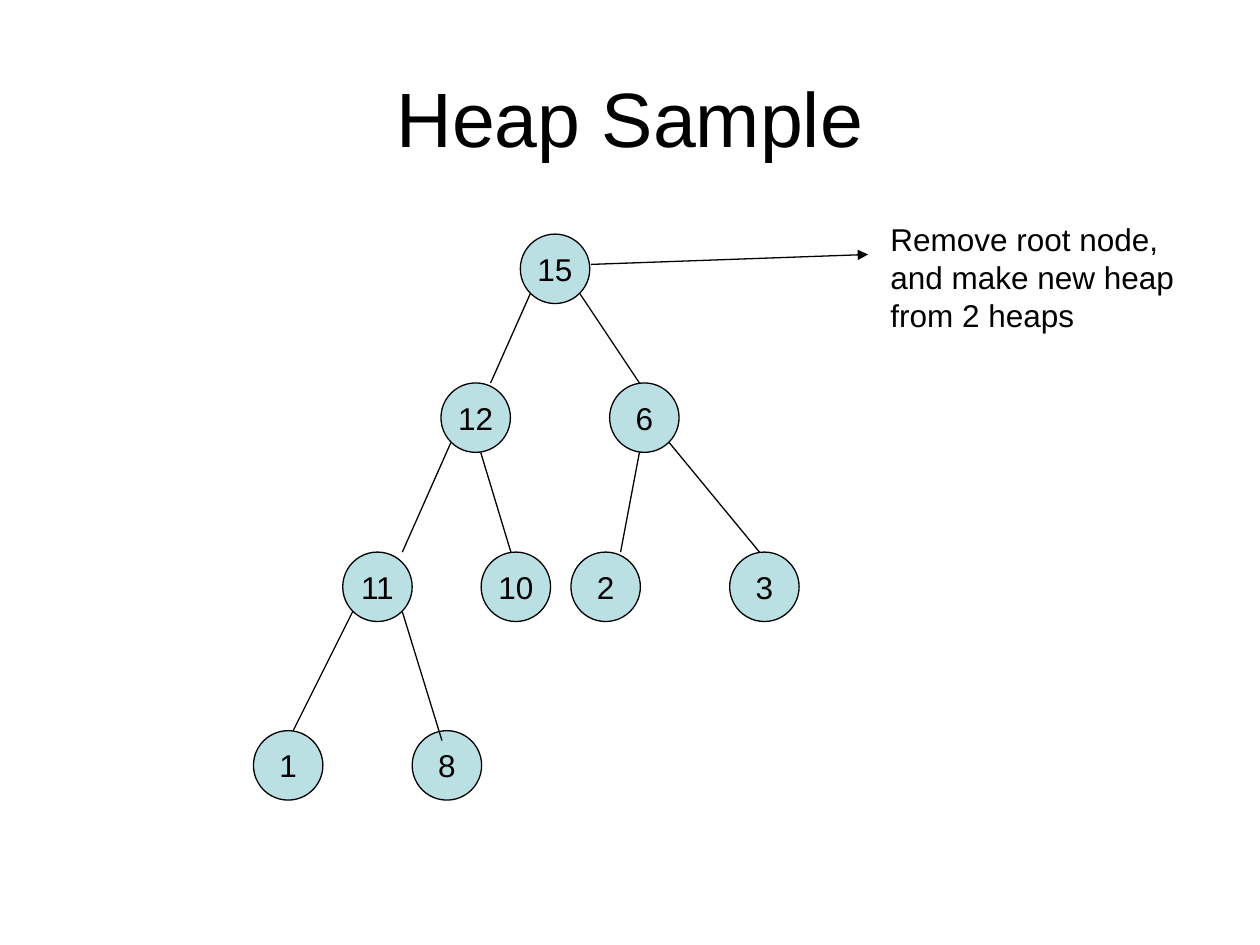
from dataclasses import dataclass

from lxml.etree import SubElement
from pptx import Presentation
from pptx.dml.color import RGBColor
from pptx.enum.shapes import MSO_CONNECTOR as Connector, MSO_SHAPE as Shape
from pptx.enum.text import MSO_ANCHOR as Anchor, MSO_AUTO_SIZE as AutoSize, PP_ALIGN as Align
from pptx.oxml.ns import qn
from pptx.util import Cm, Pt


@dataclass(frozen=True)
class Theme:
    font: str = "Arial"
    ink: RGBColor = RGBColor(0, 0, 0)
    node_fill: RGBColor = RGBColor(0xBB, 0xE0, 0xE3)
    title_size: int = 44
    text_size: int = 18
    line_width: float = 0.75


THEME = Theme()
NODE_SIZE = 1.4
LEVEL_TOPS = (4.72, 7.72, 11.13, 14.73)

LEVELS = (
    {15: 10.49},
    {12: 8.89, 6: 12.29},
    {2: 11.51, 11: 6.91, 10: 9.7, 3: 14.71},
    {8: 8.31, 1: 5.11},
)

LOWER_LEFT, LOWER_RIGHT = (0.2, 1.2), (1.2, 1.2)
TOP = (0.6, 0)

EDGES = (
    (15, LOWER_LEFT, 12, (1, 0)),
    (15, LOWER_RIGHT, 6, TOP),
    (12, LOWER_LEFT, 11, (1.2, 0)),
    (12, (0.8, 1.4), 10, TOP),
    (11, LOWER_LEFT, 1, (0.8, 0)),
    (11, LOWER_RIGHT, 8, (0.6, 0.2)),
    (6, (0.6, 1.4), 2, (1, 0)),
    (6, LOWER_RIGHT, 3, TOP),
)


def write(frame, text, size, align):
    para = frame.paragraphs[0]
    para.alignment = align
    span = para.add_run()
    span.text = text
    span.font.name = THEME.font
    span.font.size = Pt(size)
    span.font.color.rgb = THEME.ink


def set_title(page, text):
    title = page.shapes.title
    title.left, title.top, title.width, title.height = Cm(1.27), Cm(0.76), Cm(22.86), Cm(3.18)
    title.text_frame.vertical_anchor = Anchor.MIDDLE
    write(title.text_frame, text, THEME.title_size, Align.CENTER)


def add_node(page, value, left, top):
    node = page.shapes.add_shape(Shape.OVAL, Cm(left), Cm(top), Cm(NODE_SIZE), Cm(NODE_SIZE))
    node.shadow.inherit = False
    node.fill.solid()
    node.fill.fore_color.rgb = THEME.node_fill
    node.line.color.rgb = THEME.ink
    node.line.width = Pt(THEME.line_width)
    node.text_frame.word_wrap = False
    node.text_frame.vertical_anchor = Anchor.MIDDLE
    write(node.text_frame, str(value), THEME.text_size, Align.CENTER)


def add_line(page, start, end, arrow=False):
    points = [Cm(length) for length in (*start, *end)]
    line = page.shapes.add_connector(Connector.STRAIGHT, *points)
    line.line.color.rgb = THEME.ink
    line.line.width = Pt(THEME.line_width)
    if arrow:
        SubElement(line.line._get_or_add_ln(), qn("a:tailEnd"), type="triangle")
    SubElement(line._element.spPr, qn("a:effectLst"))


def add_note(page, text):
    box = page.shapes.add_textbox(Cm(17.7), Cm(4.32), Cm(6.35), Cm(2.54))
    box.text_frame.word_wrap = True
    box.text_frame.auto_size = AutoSize.SHAPE_TO_FIT_TEXT
    write(box.text_frame, text, THEME.text_size, Align.LEFT)


def add_heap(page):
    corners = {
        value: (left, top)
        for top, level in zip(LEVEL_TOPS, LEVELS)
        for value, left in level.items()
    }
    for value, (left, top) in corners.items():
        add_node(page, value, left, top)
    for parent, parent_offset, child, child_offset in EDGES:
        start = map(sum, zip(corners[parent], parent_offset))
        end = map(sum, zip(corners[child], child_offset))
        add_line(page, start, end)


def main():
    deck = Presentation()
    deck.slide_width, deck.slide_height = Cm(25.4), Cm(19.05)
    page = deck.slides.add_slide(deck.slide_layouts.get_by_name("Title Only"))
    set_title(page, "Heap Sample")
    add_heap(page)
    add_line(page, (11.91, 5.33), (17.5, 5.13), arrow=True)
    add_note(page, "Remove root node, and make new heap from 2 heaps")
    deck.save("out.pptx")


if __name__ == "__main__":
    main()
